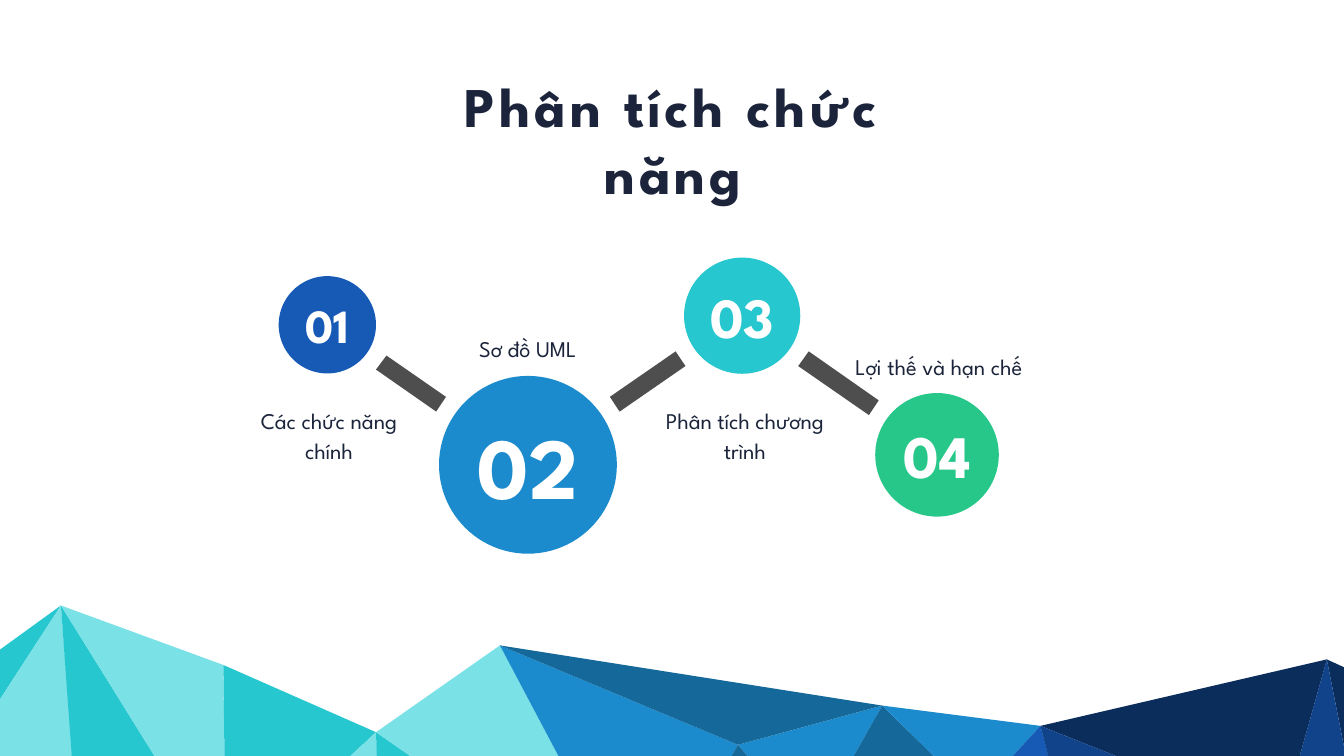
"""Build the slide "Phân tích chức năng" with four linked steps above a low-poly range."""
from dataclasses import dataclass

from pptx import Presentation
from pptx.dml.color import RGBColor
from pptx.enum.shapes import MSO_SHAPE
from pptx.enum.text import MSO_ANCHOR, MSO_AUTO_SIZE, PP_ALIGN
from pptx.util import Pt


@dataclass(frozen=True)
class Theme:
    """Colours and type sizes of the slide."""
    font: str = "League Spartan"
    ink: str = "1B243B"
    white: str = "FFFFFF"
    bar: str = "4E4E4E"
    teal: str = "27C7CF"
    aqua: str = "7AE1E6"
    sky: str = "1B8BCD"
    steel: str = "14689A"
    blue: str = "165AB6"
    royal: str = "104389"
    navy: str = "0B2D5B"
    green: str = "27C78A"
    title: int = 80
    label: int = 32
    leading: int = 42
    tracking: int = 6
    number: float = 0.49


BASE = 1198
LABEL_WIDTH = 274
VERTICES = {
    "left_high": (0, 928), "left_low": (0, 999), "peak_a": (87, 865),
    "ridge_a": (319, 950), "valley_a": (537, 1046), "peak_b": (714, 922),
    "notch": (1054, 1064), "pit": (1159, 1186), "ridge_b": (1260, 1008),
    "fold": (1393, 1138), "valley_b": (1486, 1037), "hollow": (1830, 1174),
    "peak_c": (1895, 942), "right_high": (1930, 958), "right_low": (1930, 1120),
}
FACETS = [
    ("teal", "peak_a left_high left_low"),
    ("aqua", "peak_a left_low 0 113"),
    ("teal", "peak_a 111 294"),
    ("aqua", "ridge_a peak_a 294 322"),
    ("teal", "valley_a ridge_a 322 373"),
    ("aqua", "valley_a 373 544"),
    ("teal", "valley_a 542 757"),
    ("aqua", "peak_b valley_a 755 860"),
    ("sky", "notch peak_b 860 981"),
    ("sky", "notch pit ridge_b"),
    ("steel", "pit fold ridge_b"),
    ("sky", "ridge_b fold valley_b"),
    ("blue", "valley_b fold 1460 1528"),
    ("navy", "valley_b hollow peak_c"),
    ("royal", "hollow valley_b 1527 1758"),
    ("navy", "right_high peak_c right_low"),
    ("royal", "right_low peak_c hollow 1872 1930"),
    ("steel", "peak_b ridge_b notch"),
    ("steel", "pit notch 979 1131"),
]
BARS = [
    [(637, 567), (552, 508), (537, 528), (623, 588)],
    [(965, 502), (871, 567), (885, 588), (979, 523)],
    [(1255, 572), (1155, 502), (1140, 523), (1241, 593)],
]
STEPS = [
    ("01", "blue", (398, 394.5, 139), "Các chức năng chính", (333, 575, 91)),
    ("02", "sky", (627, 537, 254), "Sơ đồ UML", (617, 471, 49)),
    ("03", "teal", (977, 368, 166), "Phân tích chương trình", (927, 575, 91)),
    ("04", "green", (1250, 561.5, 176.5), "Lợi thế và hạn chế", (1204, 498, 49)),
]


class Deck:
    """Hold the theme and the current slide, and draw each kind of element."""

    def __init__(self, theme):
        self.t = theme
        self.prs = Presentation()
        self.prs.slide_width, self.prs.slide_height = Pt(1919.52), Pt(1080)
        self.s = self.prs.slides.add_slide(self.prs.slide_layouts[5])

    def apply(self, obj, **fmt):
        """Set each attribute named in the format values."""
        for name, value in fmt.items():
            setattr(obj, name, value)

    def paint(self, sp, color):
        """Give a shape a flat fill without line or shadow."""
        sp.fill.solid()
        sp.fill.fore_color.rgb = RGBColor.from_string(getattr(self.t, color))
        sp.line.fill.background()
        sp.shadow.inherit = False

    def set_text(self, sp, text, size, color, bold, leading=None, **frame):
        """Put one centred paragraph in a shape and return its run."""
        tf = sp.text_frame
        self.apply(tf, **{"word_wrap": True, "vertical_anchor": MSO_ANCHOR.TOP,
                          "auto_size": MSO_AUTO_SIZE.SHAPE_TO_FIT_TEXT, **frame})
        p = tf.paragraphs[0]
        self.apply(p, alignment=PP_ALIGN.CENTER, line_spacing=leading)
        r = p.add_run()
        r.text = text
        self.apply(r.font, name=self.t.font, size=Pt(size), bold=bold)
        r.font.color.rgb = RGBColor.from_string(getattr(self.t, color))
        return r

    def title(self, text, x, y, w, h):
        """Move and format the title placeholder."""
        sp = self.s.shapes.title
        self.apply(sp, left=Pt(x), top=Pt(y), width=Pt(w), height=Pt(h))
        r = self.set_text(sp, text, self.t.title, "ink", True)
        r._r.get_or_add_rPr().set("spc", str(self.t.tracking * 100))

    def polygon(self, points, color):
        """Draw a closed outline through the points."""
        fb = self.s.shapes.build_freeform(*points[0], scale=Pt(1))
        fb.add_line_segments(points[1:], close=True)
        self.paint(fb.convert_to_shape(), color)

    def facet(self, color, corners):
        """Draw a facet from vertex names and positions along the base."""
        self.polygon([VERTICES[c] if c in VERTICES else (int(c), BASE)
                      for c in corners.split()], color)

    def circle(self, number, color, x, y, d):
        """Draw a numbered circle whose type grows with its diameter."""
        sp = self.s.shapes.add_shape(MSO_SHAPE.OVAL, Pt(x), Pt(y), Pt(d), Pt(d))
        self.paint(sp, color)
        self.set_text(sp, number, round(d * self.t.number), "white", True, word_wrap=False,
                      vertical_anchor=MSO_ANCHOR.MIDDLE, auto_size=MSO_AUTO_SIZE.NONE,
                      margin_left=0, margin_right=0, margin_top=0, margin_bottom=0)

    def label(self, text, x, y, h):
        """Add a step label."""
        sp = self.s.shapes.add_textbox(Pt(x), Pt(y), Pt(LABEL_WIDTH), Pt(h))
        self.set_text(sp, text, self.t.label, "ink", False, Pt(self.t.leading))


def main():
    """Draw the slide and save it."""
    deck = Deck(Theme())
    for color, corners in FACETS:
        deck.facet(color, corners)
    for points in BARS:
        deck.polygon(points, "bar")
    for number, color, disc, text, place in STEPS:
        deck.circle(number, color, *disc)
        deck.label(text, *place)
    deck.title("Phân tích chức năng", 545, 98, 832, 104.5)
    deck.prs.save("out.pptx")


if __name__ == "__main__":
    main()
